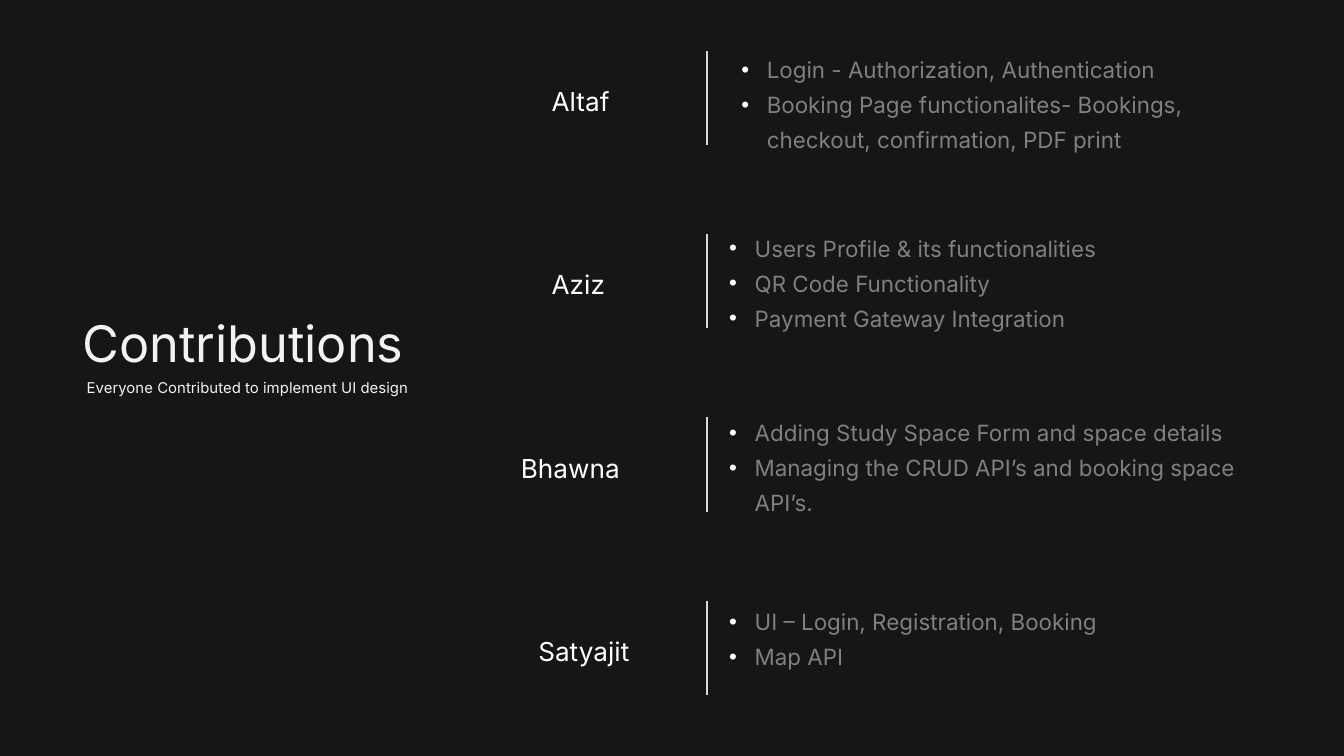
from dataclasses import dataclass

from lxml import etree
from pptx import Presentation
from pptx.dml.color import RGBColor
from pptx.enum import shapes, text
from pptx.oxml.ns import qn
from pptx.util import Inches, Pt

COLORS = {
    "background": "171616",
    "heading": "F2F2F2",
    "name": "FFFFFF",
    "bullet": "FFFFFF",
    "task": "808080",
    "divider": "D8D8D8",
}
FONT = "Inter"
BULLET_INDENT = 0.19
DIVIDER_X, DIVIDER_HEIGHT = 5.26, 0.7
FIRST_ROW, LAST_ROW = 0.38, 4.47
NAME_DROP = 0.15  # name box below the top of its divider


@dataclass(frozen=True)
class Box:
    left: float
    top: float
    width: float
    height: float


@dataclass(frozen=True)
class Member:
    name: str
    name_box: tuple[float, float, float]  # left, width, height
    tasks: tuple[str, ...]
    task_box: Box


MEMBERS = (
    Member("Altaf", (4.03, 1.22, 0.45),
           ("Login - Authorization, Authentication",
            "Booking Page functionalites- Bookings, checkout, confirmation, PDF print"),
           Box(5.44, 0.32, 4.02, 0.88)),
    Member("Aziz", (4.03, 1.22, 0.45),
           ("Users Profile & its functionalities",
            "QR Code Functionality",
            "Payment Gateway Integration"),
           Box(5.35, 1.65, 4.3, 0.88)),
    Member("Bhawna", (3.8, 1.45, 0.39),
           ("Adding Study Space Form and space details",
            "Managing the CRUD API’s and booking space API’s."),
           Box(5.35, 3.02, 4.35, 0.86)),
    Member("Satyajit", (3.93, 1.31, 0.39),
           ("UI – Login, Registration, Booking", "Map API"),
           Box(5.35, 4.43, 3.96, 0.88)),
)


def rgb(role: str) -> RGBColor:
    return RGBColor.from_string(COLORS[role])


def add_bullet(paragraph) -> None:
    properties = paragraph._p.get_or_add_pPr()
    properties.set("marL", str(Inches(BULLET_INDENT)))
    properties.set("indent", str(-Inches(BULLET_INDENT)))
    bullet_color = etree.SubElement(properties, qn("a:buClr"))
    etree.SubElement(bullet_color, qn("a:srgbClr"), val=COLORS["bullet"])
    etree.SubElement(properties, qn("a:buFont"), typeface="Arial")
    etree.SubElement(properties, qn("a:buChar"), char="•")


def write(holder, *lines: str, box: Box, size: float, color: str,
          bulleted: bool = False) -> None:
    """Place a text holder and fill it with one paragraph per line."""
    holder.left, holder.top = Inches(box.left), Inches(box.top)
    holder.width, holder.height = Inches(box.width), Inches(box.height)
    frame = holder.text_frame
    frame.word_wrap = True
    frame.auto_size = text.MSO_AUTO_SIZE.NONE
    frame.vertical_anchor = text.MSO_ANCHOR.TOP
    frame.margin_left = frame.margin_right = Pt(5.4)
    frame.margin_top = frame.margin_bottom = Pt(2.7)
    for index, line in enumerate(lines):
        paragraph = frame.add_paragraph() if index else frame.paragraphs[0]
        if bulleted:
            add_bullet(paragraph)
        paragraph.alignment = text.PP_ALIGN.LEFT
        paragraph.line_spacing = 1.3
        paragraph.space_before = paragraph.space_after = Pt(0)
        run = paragraph.add_run()
        run.text = line
        run.font.name, run.font.size = FONT, Pt(size)
        run.font.bold = False
        run.font.color.rgb = rgb(color)


def add_text(slide, line: str, *, box: Box, size: float, color: str) -> None:
    holder = slide.shapes.add_textbox(0, 0, 0, 0)
    write(holder, line, box=box, size=size, color=color)


def add_divider(slide, top: float) -> None:
    divider = slide.shapes.add_connector(
        shapes.MSO_CONNECTOR.STRAIGHT, Inches(DIVIDER_X), Inches(top),
        Inches(DIVIDER_X), Inches(top + DIVIDER_HEIGHT))
    divider.line.color.rgb = rgb("divider")
    divider.line.width = Pt(1)
    etree.SubElement(divider._element.spPr, qn("a:effectLst"))


def add_member(slide, member: Member, task_list, top: float) -> None:
    left, width, height = member.name_box
    add_text(slide, member.name, size=14, color="name",
             box=Box(left, top + NAME_DROP, width, height))
    add_divider(slide, top)
    write(task_list, *member.tasks, box=member.task_box, size=12,
          color="task", bulleted=True)


def main() -> None:
    deck = Presentation()
    # Widescreen, 16:9
    deck.slide_width = Inches(10)
    deck.slide_height = deck.slide_width * 9 // 16
    # The comparison layout has a title and four body placeholders
    slide = deck.slides.add_slide(deck.slide_layouts[4])
    slide.background.fill.solid()
    slide.background.fill.fore_color.rgb = rgb("background")

    # Heading
    write(slide.shapes.title, "Contributions", size=27, color="heading",
          box=Box(0.54, 2.15, 3.2, 0.67))
    add_text(slide, "Everyone Contributed to implement UI design", size=8,
             color="heading", box=Box(0.57, 2.74, 3.2, 0.25))

    # One row per member
    task_lists = list(slide.placeholders)[1:]
    pitch = (LAST_ROW - FIRST_ROW) / (len(MEMBERS) - 1)
    for row, (member, task_list) in enumerate(zip(MEMBERS, task_lists)):
        add_member(slide, member, task_list, FIRST_ROW + row * pitch)

    deck.save("out.pptx")


if __name__ == "__main__":
    main()
